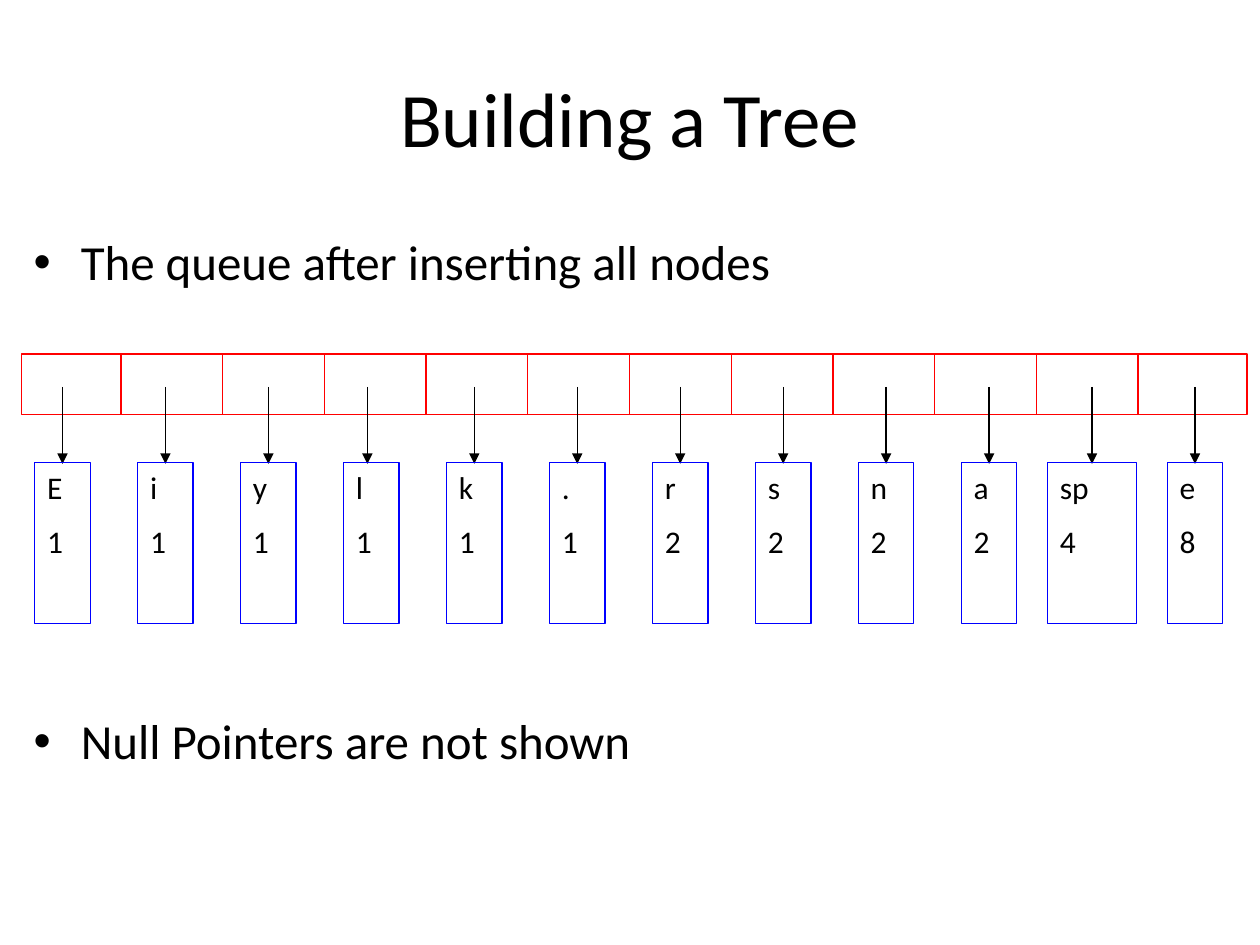
from lxml.etree import SubElement
from pptx import Presentation
from pptx.dml.color import RGBColor
from pptx.enum.shapes import MSO_CONNECTOR, MSO_SHAPE
from pptx.enum.text import MSO_ANCHOR, PP_ALIGN
from pptx.oxml.ns import qn
from pptx.util import Cm, Pt

BLACK = RGBColor(0, 0, 0)
WHITE = RGBColor(255, 255, 255)
RED = RGBColor(255, 0, 0)
BLUE = RGBColor(0, 0, 255)

NODES = [("E", 1), ("i", 1), ("y", 1), ("l", 1), ("k", 1), (".", 1),
         ("r", 2), ("s", 2), ("n", 2), ("a", 2), ("sp", 4), ("e", 8)]
QUEUE_TOP, QUEUE_HEIGHT = 7.14, 1.22
FIRST_DIVIDER, CELL_WIDTH = 2.44, 2.05
FIRST_NODE, LAST_NODE = 1.26, 24.09
NODE_TOP, NODE_HEIGHT = 9.32, 3.25


class Deck:
    """Slide being drawn, together with its text and line style."""

    font = "Calibri"
    line_width = Pt(0.75)

    def __init__(self, s):
        self.s = s

    def run(self, p, text, size):
        r = p.add_run()
        r.text = text
        r.font.name = self.font
        r.font.size = Pt(size)
        r.font.color.rgb = BLACK

    def fill_text(self, tf, lines, size, gap=0, align=PP_ALIGN.LEFT, bullet=False):
        tf.word_wrap = True
        for i, line in enumerate(lines):
            p = tf.add_paragraph() if i else tf.paragraphs[0]
            p.alignment = align
            if i:
                p.space_before = Pt(gap)
            if bullet:
                pPr = p._p.get_or_add_pPr()
                pPr.set("marL", str(Cm(0.95)))
                pPr.set("indent", str(Cm(-0.95)))
                SubElement(pPr, qn("a:buFont"), typeface="Arial")
                SubElement(pPr, qn("a:buChar"), char="•")
            self.run(p, line, size)

    def text(self, x, y, w, h, lines, size, anchor=MSO_ANCHOR.TOP, **style):
        tf = self.s.shapes.add_textbox(Cm(x), Cm(y), Cm(w), Cm(h)).text_frame
        tf.vertical_anchor = anchor
        self.fill_text(tf, lines, size, **style)

    def box(self, x, y, w, h, color, fill=None, lines=()):
        sp = self.s.shapes.add_shape(MSO_SHAPE.RECTANGLE, Cm(x), Cm(y), Cm(w), Cm(h))
        sp.shadow.inherit = False
        sp.line.color.rgb = color
        sp.line.width = self.line_width
        if fill is None:
            sp.fill.background()
        else:
            sp.fill.solid()
            sp.fill.fore_color.rgb = fill
        sp.text_frame.vertical_anchor = MSO_ANCHOR.TOP
        self.fill_text(sp.text_frame, lines, 18, gap=9)

    def line(self, x, top, bottom, color, arrow=False):
        c = self.s.shapes.add_connector(
            MSO_CONNECTOR.STRAIGHT, Cm(x), Cm(top), Cm(x), Cm(bottom))
        c.line.color.rgb = color
        c.line.width = self.line_width
        if arrow:
            SubElement(c.line._get_or_add_ln(), qn("a:tailEnd"), type="triangle")
        SubElement(c._element.spPr, qn("a:effectLst"))


def main():
    prs = Presentation()
    prs.slide_width, prs.slide_height = Cm(25.4), Cm(19.05)
    deck = Deck(prs.slides.add_slide(prs.slide_layouts[6]))

    deck.text(1.27, 0.76, 22.86, 3.18, ["Building a Tree"], 44,
              anchor=MSO_ANCHOR.MIDDLE, align=PP_ALIGN.CENTER)
    deck.text(0.43, 4.55, 24.97, 11.43,
              ["The queue after inserting all nodes", "Null Pointers are not shown"],
              28, gap=240, bullet=True)

    deck.box(0.43, QUEUE_TOP, 24.71, QUEUE_HEIGHT, RED, WHITE)
    for i in range(len(NODES) - 1):
        deck.line(FIRST_DIVIDER + i * CELL_WIDTH, QUEUE_TOP, QUEUE_TOP + QUEUE_HEIGHT, RED)

    pitch = (LAST_NODE - FIRST_NODE) / (len(NODES) - 1)
    for i, (symbol, count) in enumerate(NODES):
        center = FIRST_NODE + i * pitch
        width = 1.8 if len(symbol) > 1 else 1.12
        arrow_x = center - 0.08 if symbol == "l" else center
        deck.line(arrow_x, 7.8, 9.35, BLACK, arrow=True)
        deck.box(center - width / 2, NODE_TOP, width, NODE_HEIGHT, BLUE,
                 lines=[symbol, str(count)])

    prs.save("out.pptx")


if __name__ == "__main__":
    main()
